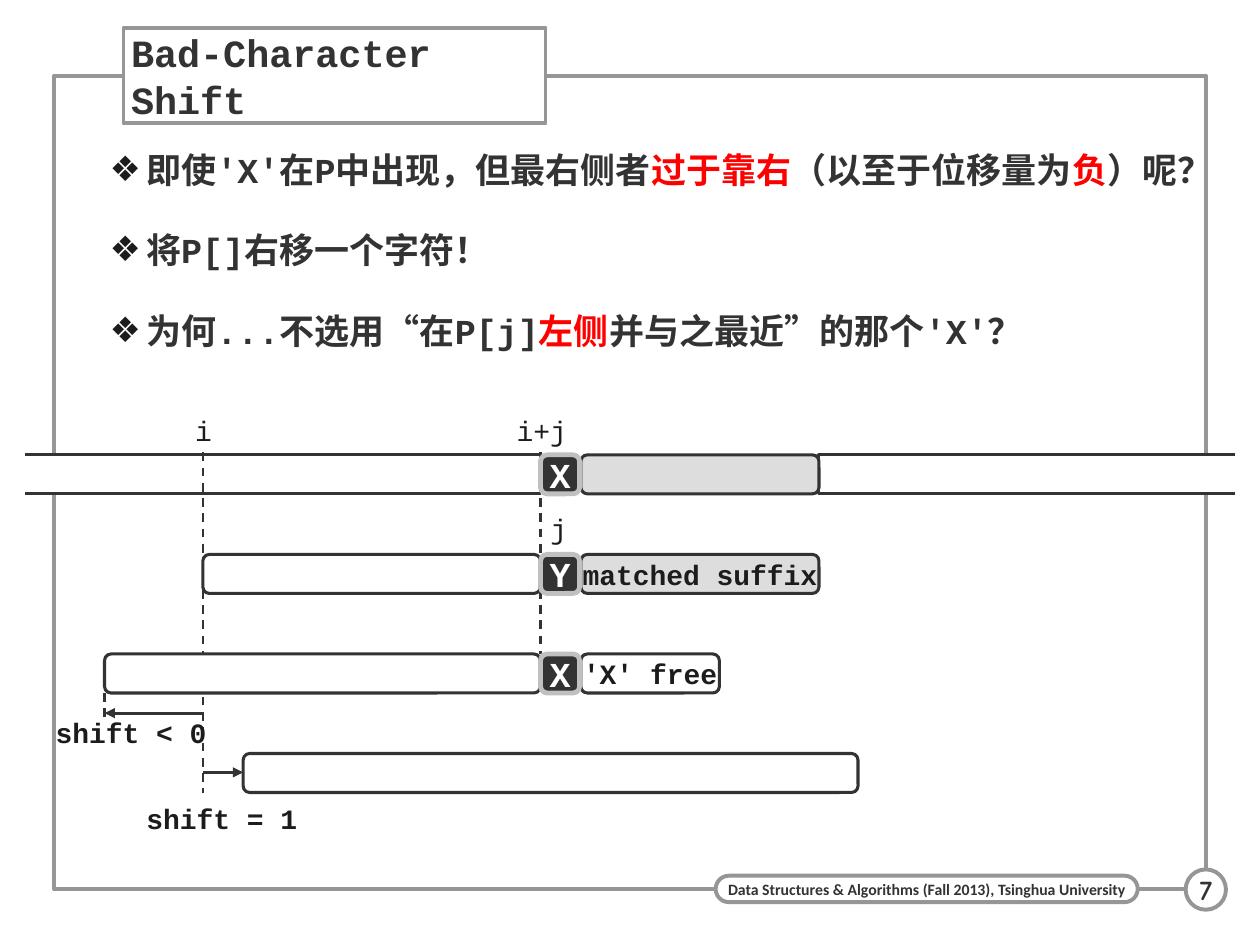
from dataclasses import dataclass

from lxml.etree import SubElement
from pptx import Presentation
from pptx.dml.color import RGBColor
from pptx.enum.dml import MSO_LINE
from pptx.enum.shapes import MSO_CONNECTOR, MSO_SHAPE as Preset
from pptx.enum.text import MSO_ANCHOR, MSO_AUTO_SIZE, PP_ALIGN
from pptx.oxml.ns import qn
from pptx.util import Inches, Pt

WHITE = RGBColor(0xFF, 0xFF, 0xFF)
INK = RGBColor(0x33, 0x33, 0x33)
LABEL_INK = RGBColor(0x1C, 0x1C, 0x1C)
FRAME_GRAY = RGBColor(0x96, 0x96, 0x96)
CELL_EDGE = RGBColor(0xC0, 0xC0, 0xC0)
MATCHED = RGBColor(0xDD, 0xDD, 0xDD)
RED = RGBColor(0xFF, 0x00, 0x00)
MONO = "Courier New"

# Diagram grid, in inches
CELL = 0.31
ROW_TOPS = [3.61 + 0.79 * row for row in range(4)]
TEXT_ROW, PATTERN_ROW, NEGATIVE_ROW, SHIFTED_ROW = ROW_TOPS
ALIGN_X, BAD_X, SUFFIX_X, SUFFIX_END = 1.61, 4.29, 4.61, 6.5
NEGATIVE_X = 0.83
SHIFTED_X = ALIGN_X + 0.32


@dataclass
class Bar:
    left: float
    top: float
    right: float
    fill: RGBColor = WHITE
    text: str = ""


@dataclass
class Label:
    text: str
    left: float
    top: float
    width: float
    height: float
    bold: bool = False


@dataclass
class Line:
    start: tuple[float, float]
    end: tuple[float, float]
    arrow: bool = False


def style_text(shape, text: str, size: float, color: RGBColor, font: str = MONO,
               bold: bool = True, align=PP_ALIGN.CENTER, wrap: bool = False,
               insets: tuple[float, float] = (0, 0)) -> None:
    frame = shape.text_frame
    frame.auto_size = MSO_AUTO_SIZE.NONE
    frame.word_wrap = wrap
    frame.vertical_anchor = MSO_ANCHOR.MIDDLE
    frame.margin_left = frame.margin_right = Inches(insets[0])
    frame.margin_top = frame.margin_bottom = Inches(insets[1])
    frame.text = text
    paragraph = frame.paragraphs[0]
    paragraph.alignment = align
    paragraph.font.name = font
    paragraph.font.size = Pt(size)
    paragraph.font.bold = bold
    paragraph.font.color.rgb = color


def style_box(shape, fill: RGBColor | None, line: RGBColor, width: float) -> None:
    if fill is None:
        shape.fill.background()
    else:
        shape.fill.solid()
        shape.fill.fore_color.rgb = fill
    shape.line.color.rgb = line
    shape.line.width = Pt(width)


def add_box(slide, preset, left: float, top: float, width: float, height: float,
            fill: RGBColor | None, line: RGBColor, line_width: float):
    box = slide.shapes.add_shape(preset, Inches(left), Inches(top),
                                 Inches(width), Inches(height))
    box.shadow.inherit = False
    style_box(box, fill, line, line_width)
    return box


def add_bar(slide, bar: Bar) -> None:
    box = add_box(slide, Preset.ROUNDED_RECTANGLE, bar.left, bar.top,
                  bar.right - bar.left, CELL, bar.fill, INK, 1.75)
    if bar.text:
        style_text(box, bar.text, 16, LABEL_INK)


def add_character(slide, letter: str, top: float) -> None:
    cell = add_box(slide, Preset.ROUNDED_RECTANGLE, BAD_X, top, CELL, CELL,
                   INK, CELL_EDGE, 2.75)
    style_text(cell, letter, 20, WHITE)


def add_open_strip(slide, open_x: float, closed_x: float) -> None:
    """Draw a piece of the text row that is left open at one end."""
    top, bottom = Inches(TEXT_ROW), Inches(TEXT_ROW + CELL)
    builder = slide.shapes.build_freeform(Inches(open_x), bottom)
    builder.add_line_segments([(Inches(closed_x), bottom), (Inches(closed_x), top),
                               (Inches(open_x), top)], close=False)
    strip = builder.convert_to_shape()
    strip.shadow.inherit = False
    style_box(strip, WHITE, INK, 1.75)


def add_line(slide, line: Line) -> None:
    """Draw a solid arrow or a dashed guide."""
    connector = slide.shapes.add_connector(
        MSO_CONNECTOR.STRAIGHT, *(Inches(v) for v in line.start + line.end))
    connector.line.color.rgb = INK
    connector.line.width = Pt(1.75 if line.arrow else 1.25)
    if line.arrow:
        SubElement(connector.line._get_or_add_ln(), qn("a:tailEnd"), type="triangle")
    else:
        connector.line.dash_style = MSO_LINE.DASH
    SubElement(connector.element.spPr, qn("a:effectLst"))


def add_label(slide, label: Label) -> None:
    box = slide.shapes.add_textbox(Inches(label.left), Inches(label.top),
                                   Inches(label.width), Inches(label.height))
    style_text(box, label.text, 16, LABEL_INK, bold=label.bold)


def place(shape, left: float, top: float, width: float, height: float) -> None:
    shape.left, shape.top = Inches(left), Inches(top)
    shape.width, shape.height = Inches(width), Inches(height)


def fill_body(body, points: list[list[tuple[str, RGBColor]]]) -> None:
    frame = body.text_frame
    frame.auto_size = MSO_AUTO_SIZE.NONE
    frame.margin_left, frame.margin_right = Inches(0.41), 0
    frame.margin_top = frame.margin_bottom = Inches(0.1)
    for index, point in enumerate(points):
        paragraph = frame.add_paragraph() if index else frame.paragraphs[0]
        paragraph.line_spacing = 1.5
        paragraph.space_before = Pt(7.5 if index else 0)
        paragraph.space_after = Pt(2.5)
        properties = paragraph._p.get_or_add_pPr()
        properties.set("marL", str(Inches(0.29)))
        properties.set("indent", str(-Inches(0.29)))
        bullet_color = SubElement(properties, qn("a:buClr"))
        SubElement(bullet_color, qn("a:srgbClr"), val=str(LABEL_INK))
        SubElement(properties, qn("a:buChar"), char="❖")
        paragraph.font.name = MONO
        paragraph.font.size = Pt(20)
        paragraph.font.bold = True
        for text, color in point:
            run = paragraph.add_run()
            run.text = text
            run.font.color.rgb = color


POINTS = [
    [("即使'X'在P中出现，但最右侧者", INK), ("过于靠右", RED),
     ("（以至于位移量为", INK), ("负", RED), ("）呢？", INK)],
    [("将P[]右移一个字符！", INK)],
    [("为何...不选用“在P[j]", INK), ("左侧", RED), ("并与之最近”的那个'X'？", INK)],
]
SUFFIX_BARS = [Bar(SUFFIX_X, TEXT_ROW, SUFFIX_END, MATCHED),
               Bar(SUFFIX_X, PATTERN_ROW, SUFFIX_END, MATCHED, "matched suffix")]
PATTERN_BARS = [Bar(ALIGN_X, PATTERN_ROW, BAD_X),
                Bar(SUFFIX_X, NEGATIVE_ROW, 5.71, text="'X' free"),
                Bar(NEGATIVE_X, NEGATIVE_ROW, BAD_X),
                Bar(SHIFTED_X, SHIFTED_ROW, 6.81)]
GUIDES = [Line((ALIGN_X, 3.59), (ALIGN_X, 6.29)), Line((BAD_X, 3.59), (BAD_X, 5.19))]
SHIFTS = [Line((ALIGN_X, 6.13), (SHIFTED_X, 6.13), arrow=True),
          Line((ALIGN_X, 5.66), (NEGATIVE_X, 5.66), arrow=True),
          Line((NEGATIVE_X, 5.5), (NEGATIVE_X, 5.74))]
LABELS = [Label("i", 1.55, 3.28, 0.13, 0.27), Label("i+j", 4.1, 3.28, 0.4, 0.27),
          Label("j", 4.37, 4.06, 0.13, 0.27),
          Label("shift = 1", 1.12, 6.32, 1.28, 0.35, bold=True),
          Label("shift < 0", 0.4, 5.64, 1.28, 0.35, bold=True)]


def main() -> None:
    deck = Presentation()
    deck.slide_width, deck.slide_height = Inches(10), Inches(7.5)
    slide = deck.slides.add_slide(deck.slide_layouts[1])
    title, body = slide.placeholders

    border = add_box(slide, Preset.RECTANGLE, 0.43, 0.6, 9.14, 6.46,
                     None, FRAME_GRAY, 2.25)
    title.element.addprevious(border.element)
    place(title, 0.98, 0.22, 3.35, 0.76)
    style_box(title, WHITE, FRAME_GRAY, 2.25)
    style_text(title, "Bad-Character Shift", 22, INK, align=PP_ALIGN.LEFT,
               wrap=True, insets=(0.06, 0.01))
    place(body, 0.46, 0.91, 9.11, 5.91)
    fill_body(body, POINTS)

    course = add_box(slide, Preset.ROUNDED_RECTANGLE, 5.68, 6.95, 3.35, 0.21,
                     WHITE, FRAME_GRAY, 2.25)
    course.adjustments[0] = 0.5
    style_text(course, "Data Structures & Algorithms (Fall 2013), Tsinghua University",
               9, INK, "Calibri")
    page = add_box(slide, Preset.OVAL, 9.41, 6.9, 0.32, 0.32, WHITE, FRAME_GRAY, 2.25)
    style_text(page, "7", 16, INK, "Comic Neue")

    add_open_strip(slide, 0.2, BAD_X)
    add_open_strip(slide, 9.8, SUFFIX_END)
    for draw, items in ((add_bar, SUFFIX_BARS), (add_line, GUIDES),
                        (add_bar, PATTERN_BARS), (add_line, SHIFTS),
                        (add_label, LABELS)):
        for item in items:
            draw(slide, item)
    for letter, top in zip("XYX", ROW_TOPS):
        add_character(slide, letter, top)

    deck.save("out.pptx")


if __name__ == "__main__":
    main()
